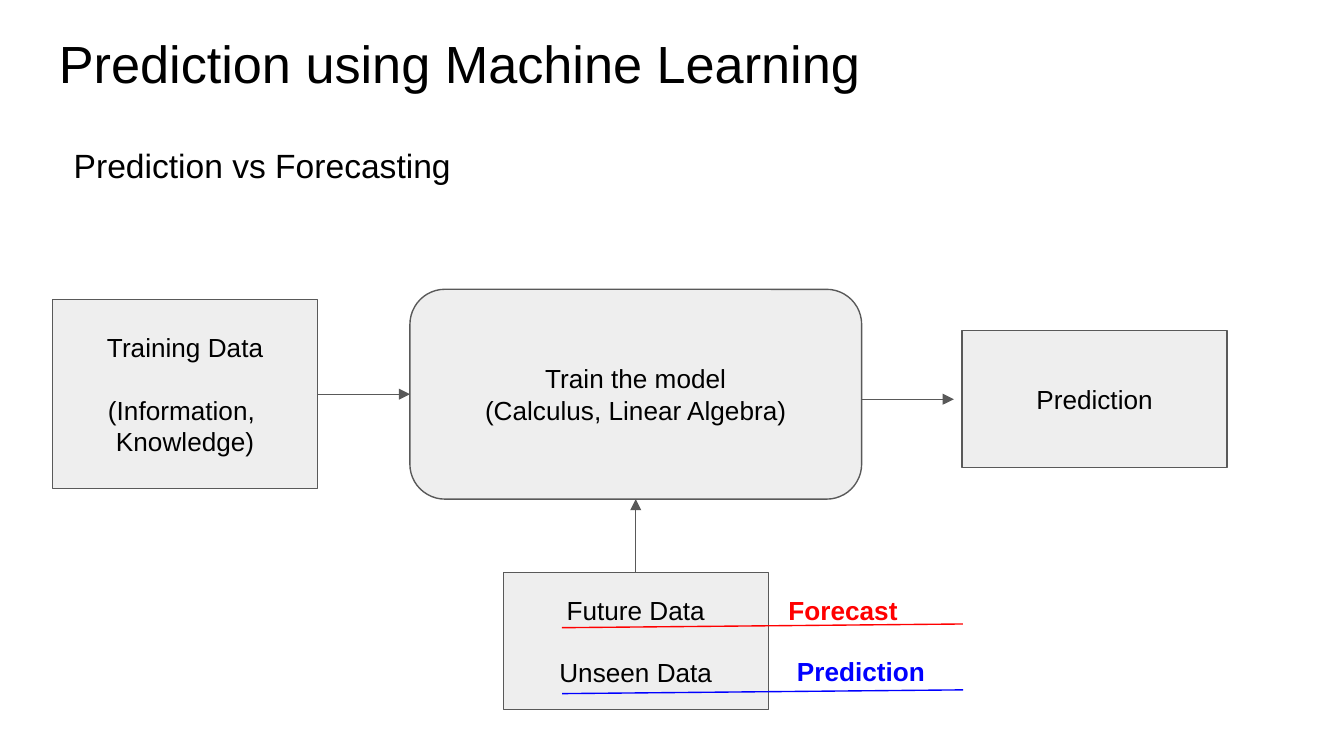
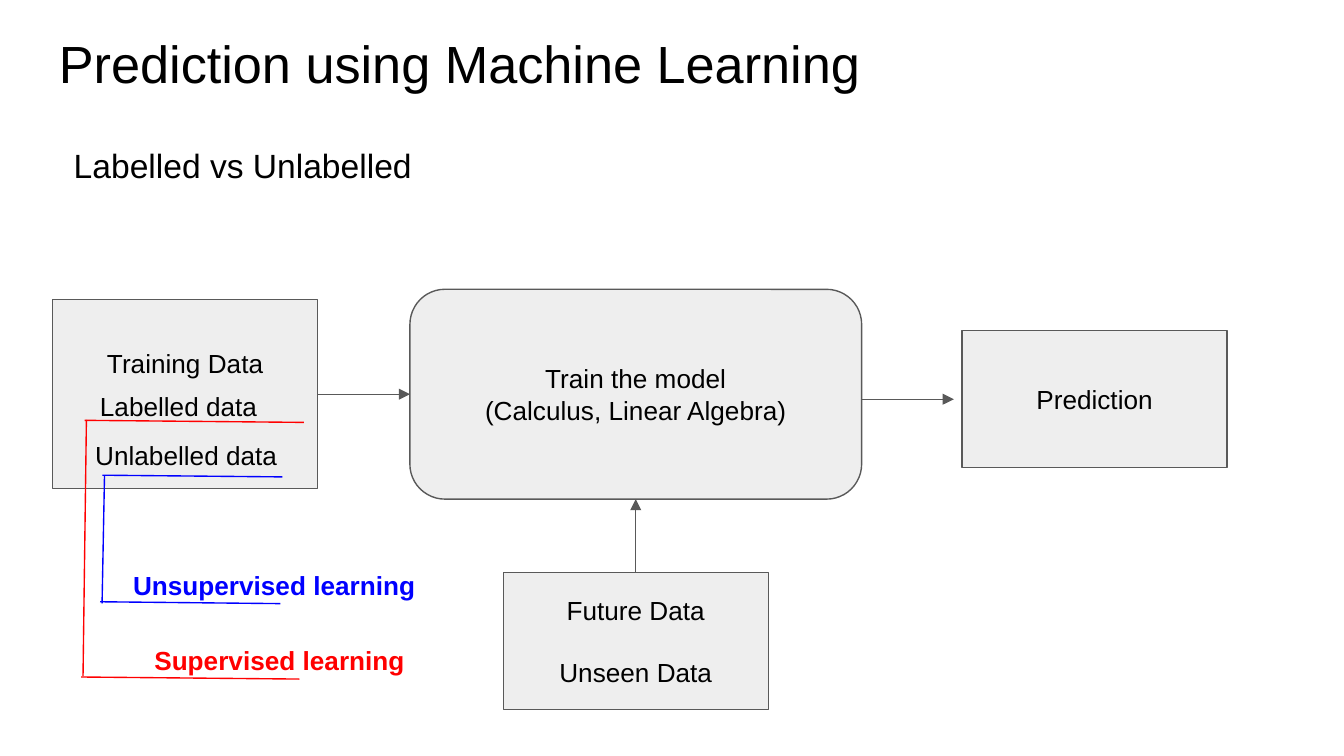
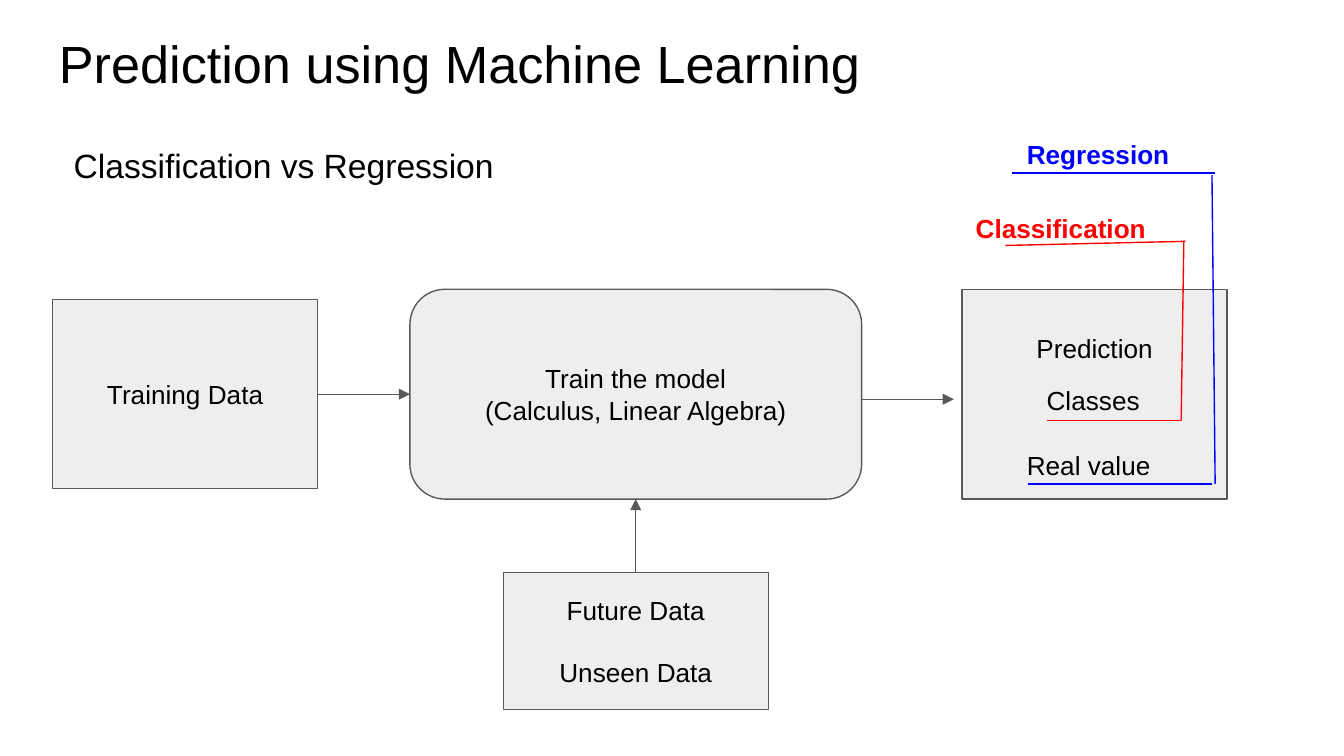
from lxml import etree
from pptx import Presentation
from pptx.dml.color import RGBColor
from pptx.enum.shapes import MSO_CONNECTOR, MSO_SHAPE
from pptx.enum.text import MSO_ANCHOR, PP_ALIGN
from pptx.oxml.ns import qn
from pptx.util import Pt

STRAIGHT = MSO_CONNECTOR.STRAIGHT
RECTANGLE = MSO_SHAPE.RECTANGLE
ROUNDED = MSO_SHAPE.ROUNDED_RECTANGLE
MIDDLE, TOP = MSO_ANCHOR.MIDDLE, MSO_ANCHOR.TOP
CENTER, LEFT = PP_ALIGN.CENTER, PP_ALIGN.LEFT
TOP_SIDE, LEFT_SIDE, BOTTOM_SIDE, RIGHT_SIDE = range(4)

COLORS = {
    "text": "000000",
    "box": "EEEEEE",
    "outline": "595959",
    "red": "FF0000",
    "blue": "0000FF",
}
FONT = "Arial"
TITLE_SIZE, SUBTITLE_SIZE, BODY_SIZE = 28, 18, 14
INSET = 7.2
LINE_HEIGHT = 16.5
LABEL_HEIGHT = 21.6

BOX_WIDTH = 142
TRAINING_LEFT, TRAINING_HEIGHT = 28.2, 101.4
MODEL_LEFT, MODEL_WIDTH, MODEL_HEIGHT = 219.6, 242, 112.4
MODEL_MIDDLE = 211.2
DATA_TOP, DATA_HEIGHT = 306.8, 73.4
PREDICTION_LEFT, PREDICTION_MIDDLE = 515.4, 213.9
ARROW_END = 511

TITLE = "Prediction using Machine Learning"
MODEL_LINES = [("Train the model", 0), ("(Calculus, Linear Algebra)", 0)]
DATA_LINES = [("Future Data", 0), ("Unseen Data", 1)]

# SLIDES_PLACEHOLDER
SLIDES = [
    {
        "subtitle": "Prediction vs Forecasting",
        "training": [("Training Data", 0), ("(Information, ", 1), ("Knowledge)", 0)],
        "labels": [
            ("Forecast", 415.3, 311.2, 111, "red"),
            ("Prediction", 419.9, 344, 111, "blue"),
        ],
        "strokes": {
            "red": [(301, 336.3, 515.8, 334.3)],
            "blue": [(301.2, 371.6, 516, 369.6)],
        },
    },
    {
        "subtitle": "Labelled vs Unlabelled",
        "training": [("Training Data", 0)],
        "training_room": 2,
        "labels": [
            ("Labelled data", 46.5, 201.8, 111, "text"),
            ("Unlabelled data", 43.9, 228, 117.5, "text"),
            ("Supervised learning", 75.6, 338.2, 168, "red"),
            ("Unsupervised learning", 64.2, 298, 196, "blue"),
        ],
        "strokes": {
            "red": [
                (45.3, 225.2, 162.8, 226.3),
                (46.3, 225, 44.5, 362.2),
                (43.4, 362.7, 160.4, 363.8),
            ],
            "blue": [
                (151.3, 255.5, 54.8, 254.6),
                (56, 254.8, 54.7, 323.3),
                (150.2, 323.4, 53.6, 322.4),
            ],
        },
    },
    {
        "subtitle": "Classification vs Regression",
        "subtitle_width": 270,
        "training": [("Training Data", 0)],
        "prediction_room": 3,
        "prediction_box": (MODEL_MIDDLE, MODEL_HEIGHT),
        "labels": [
            ("Classes", 553.6, 198.7, 80.6, "text"),
            ("Real value", 543, 233.8, 91, "text"),
            ("Classification", 515.6, 106.8, 118.8, "red"),
            ("Regression", 543, 67, 102, "blue"),
        ],
        "strokes": {
            "red": [
                (561, 225.3, 632.8, 225.3),
                (632.8, 225.3, 634.2, 128.9),
                (635, 129.3, 538.6, 131.5),
            ],
            "blue": [
                (550.8, 259.2, 649.5, 259.2),
                (651, 259.2, 649.3, 93.8),
                (651, 92.7, 542.3, 92.7),
            ],
        },
    },
]


def color(name):
    return RGBColor.from_string(COLORS[name])


def write(shape, lines, size, color_name="text", bold=False, align=LEFT, anchor=TOP, room=0):
    frame = shape.text_frame
    frame.word_wrap = True
    frame.vertical_anchor = anchor
    frame.margin_left = frame.margin_right = frame.margin_top = Pt(INSET)
    frame.margin_bottom = Pt(INSET + room * LINE_HEIGHT)
    for index, (text, gap) in enumerate(lines):
        paragraph = frame.paragraphs[0] if index == 0 else frame.add_paragraph()
        paragraph.alignment = align
        paragraph.space_before = Pt(gap * LINE_HEIGHT)
        run = paragraph.add_run()
        run.text = text
        run.font.name = FONT
        run.font.size = Pt(size)
        run.font.bold = bold
        run.font.color.rgb = color(color_name)


def add_label(slide, text, left, top, width, height, size, color_name="text"):
    label = slide.shapes.add_textbox(Pt(left), Pt(top), Pt(width), Pt(height))
    write(label, [(text, 0)], size, color_name, bold=color_name != "text")


def add_box(slide, kind, left, middle, width, height, lines, room=0):
    box = slide.shapes.add_shape(kind, Pt(left), Pt(middle - height / 2), Pt(width), Pt(height))
    box.shadow.inherit = False
    box.fill.solid()
    box.fill.fore_color.rgb = color("box")
    box.line.color.rgb = color("outline")
    box.line.width = Pt(0.75)
    write(box, lines, BODY_SIZE, align=CENTER, anchor=MIDDLE, room=room)
    return box


def add_stroke(slide, points, color_name):
    stroke = slide.shapes.add_connector(STRAIGHT, *(Pt(value) for value in points))
    stroke.line.color.rgb = color(color_name)
    stroke.line.width = Pt(0.75)
    etree.SubElement(stroke.element.spPr, qn("a:effectLst"))
    return stroke


def add_arrow(slide, points, start=None, end=None):
    arrow = add_stroke(slide, points, "outline")
    etree.SubElement(arrow.line._get_or_add_ln(), qn("a:tailEnd"), type="triangle")
    if start:
        arrow.begin_connect(*start)
    if end:
        arrow.end_connect(*end)


def add_diagram(slide, content):
    model_right = MODEL_LEFT + MODEL_WIDTH
    model_center = MODEL_LEFT + MODEL_WIDTH / 2
    model_bottom = MODEL_MIDDLE + MODEL_HEIGHT / 2
    prediction_middle, prediction_height = content.get(
        "prediction_box", (PREDICTION_MIDDLE, DATA_HEIGHT))
    training = add_box(slide, RECTANGLE, TRAINING_LEFT, MODEL_MIDDLE, BOX_WIDTH,
                       TRAINING_HEIGHT, content["training"], content.get("training_room", 0))
    model = add_box(slide, ROUNDED, MODEL_LEFT, MODEL_MIDDLE, MODEL_WIDTH,
                    MODEL_HEIGHT, MODEL_LINES)
    data = add_box(slide, RECTANGLE, model_center - BOX_WIDTH / 2, DATA_TOP + DATA_HEIGHT / 2,
                   BOX_WIDTH, DATA_HEIGHT, DATA_LINES)
    add_box(slide, RECTANGLE, PREDICTION_LEFT, prediction_middle, BOX_WIDTH,
            prediction_height, [("Prediction", 0)], content.get("prediction_room", 0))
    add_arrow(slide, (TRAINING_LEFT + BOX_WIDTH, MODEL_MIDDLE, MODEL_LEFT, MODEL_MIDDLE),
              (training, RIGHT_SIDE), (model, LEFT_SIDE))
    add_arrow(slide, (model_center, DATA_TOP, model_center, model_bottom),
              (data, TOP_SIDE), (model, BOTTOM_SIDE))
    add_arrow(slide, (model_right, PREDICTION_MIDDLE, ARROW_END, PREDICTION_MIDDLE))


def main():
    presentation = Presentation()
    presentation.slide_width, presentation.slide_height = Pt(720), Pt(405)
    for content in SLIDES:
        slide = presentation.slides.add_slide(presentation.slide_layouts[6])
        add_label(slide, TITLE, 24.5, 9.4, 671, 45.4, TITLE_SIZE)
        add_label(slide, content["subtitle"], 32.4, 70.6,
                  content.get("subtitle_width", 242), 45.4, SUBTITLE_SIZE)
        add_diagram(slide, content)
        for color_name, strokes in content["strokes"].items():
            for points in strokes:
                add_stroke(slide, points, color_name)
        for text, left, top, width, color_name in content["labels"]:
            add_label(slide, text, left, top, width, LABEL_HEIGHT, BODY_SIZE, color_name)
    presentation.save("out.pptx")


if __name__ == "__main__":
    main()
